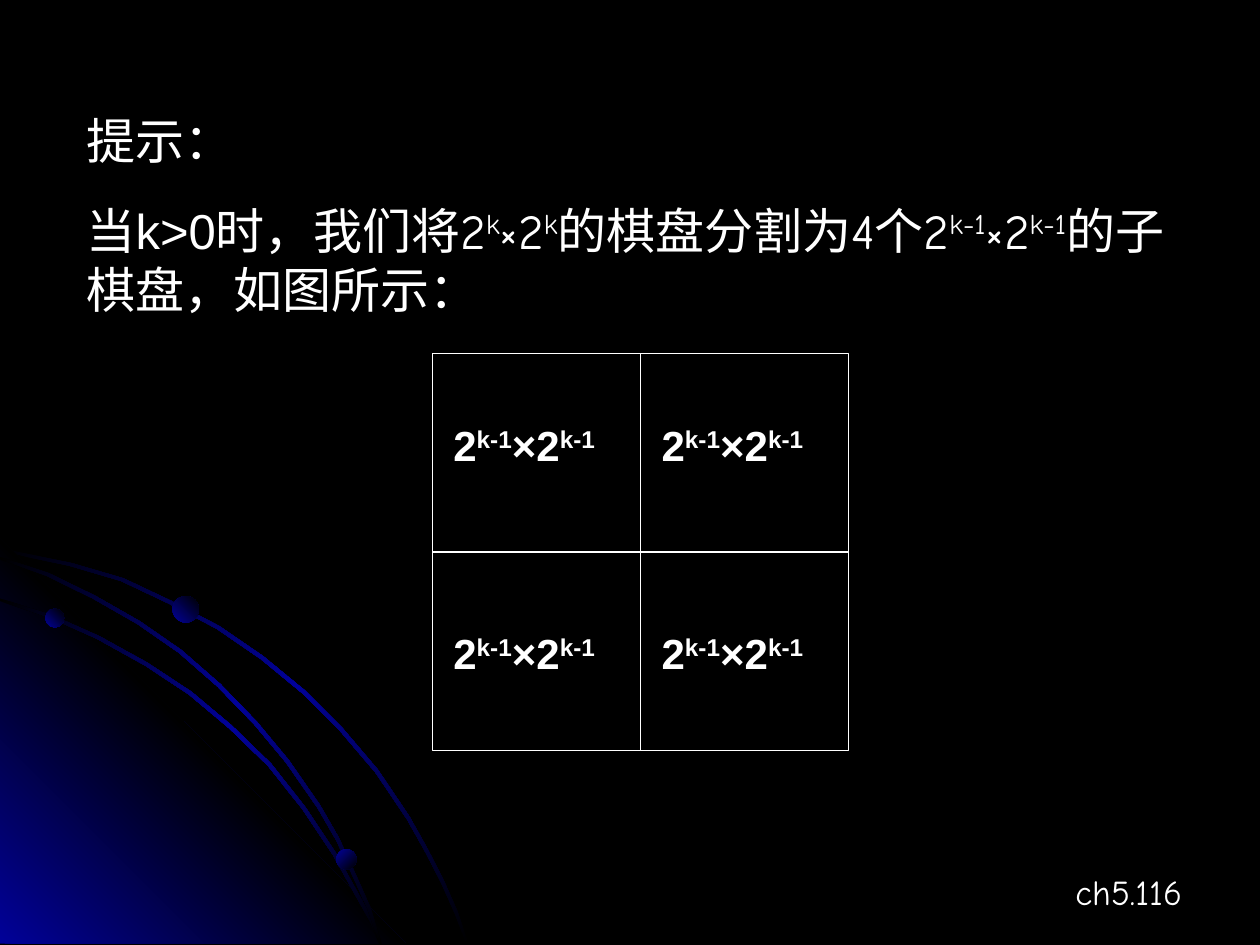
from lxml import etree
from pptx import Presentation
from pptx.dml.color import RGBColor
from pptx.enum.shapes import MSO_SHAPE
from pptx.enum.text import PP_ALIGN
from pptx.oxml.ns import qn
from pptx.util import Pt

OVAL, RECT = MSO_SHAPE.OVAL, MSO_SHAPE.RECTANGLE
LEFT, RIGHT = PP_ALIGN.LEFT, PP_ALIGN.RIGHT
WHITE, BLACK, BLUE = "FFFFFF", "000000", "010199"
COMIC, ARIAL, NOTO = "Comic Neue", "Arial", "Noto Sans CJK SC"
SLIDE_W, SLIDE_H = 720, 540

# Content: each run is (text, font, raised)
HINT = [
    [("提示：", COMIC, False)],
    [("当", COMIC, False), ("k>0", ARIAL, False), ("时，我们将2", COMIC, False),
     ("k", COMIC, True), ("×2", COMIC, False), ("k", COMIC, True),
     ("的棋盘分割为4个2", COMIC, False), ("k-1", COMIC, True),
     ("×2", COMIC, False), ("k-1", COMIC, True),
     ("的子棋盘，如图所示：", NOTO, False)],
]
QUADRANT_SIZE = [[("2", ARIAL, False), ("k-1", ARIAL, True),
                  ("×2", ARIAL, False), ("k-1", ARIAL, True)]]
PAGE_NUMBER = [[("ch5.116", COMIC, False)]]

# Upper edges of the orbit bands
OUTER_ORBIT = [(0, 313.2), (20.2, 317.5), (41, 321.8), (70.6, 330.5), (97.9, 343.4),
               (125.3, 357.8), (150.5, 375.1), (174.2, 394.6), (195.8, 416.2),
               (216, 439.9), (234, 466.6), (244.1, 484.6), (253.4, 502.6),
               (261.4, 520.6), (267.8, 539.3)]
INNER_ORBIT = [(0, 342), (29.5, 351.4), (56.9, 363.6), (84.2, 378.7), (109.4, 395.3),
               (132.5, 414.7), (154.8, 436.3), (174.2, 460.8), (191.5, 486.7),
               (205.9, 512.6), (213.1, 525.6), (218.2, 539.3)]
MIDDLE_ORBIT = [(0, 318.2), (28.1, 327.6), (54.7, 340.6), (79.9, 355), (103.7, 371.5),
                (126, 391), (146.9, 412.6), (164.9, 434.2), (182.9, 460.1),
                (193.7, 478.8), (203, 499), (211.7, 518.4), (218.2, 539.3)]
GLOW = [(0, 307.5), (232, 539.3), (0, 539.3)]
ORBIT_BAND = 1.5
ORBIT_END = 539.3
# Planets: left, top, diameter, gradient angle
PLANETS = [(25.9, 347.8, 10.8, 315), (192.2, 485.3, 11.5, 45), (98.6, 340.6, 15.1, 315)]

# Chessboard
BOARD_X, BOARD_Y, CELL_W, CELL_H = 247, 202, 119, 113.4
LABEL_DX, LABEL_DY, LABEL_PITCH = 5, 34, 118.8


def color(code):
    return RGBColor.from_string(code)


def paint_gradient(shape, colors, angle):
    """Spread the colours evenly; the angle runs clockwise."""
    shape.shadow.inherit = False
    shape.line.fill.background()
    shape.fill.gradient()
    shape.fill.gradient_angle = 360 - angle
    stops = shape.element.spPr.find(qn("a:gradFill")).find(qn("a:gsLst"))
    for stop in list(stops):
        stops.remove(stop)
    for i, code in enumerate(colors):
        stop = etree.SubElement(stops, qn("a:gs"), pos=str(100000 * i // (len(colors) - 1)))
        etree.SubElement(stop, qn("a:srgbClr"), val=code)


def add_outline(points, colors, angle):
    builder = shapes.build_freeform(Pt(points[0][0]), Pt(points[0][1]), scale=1.0)
    builder.add_line_segments([(Pt(x), Pt(y)) for x, y in points[1:]], close=True)
    paint_gradient(builder.convert_to_shape(), colors, angle)


def add_orbit(upper):
    lower = [(max(x - ORBIT_BAND, 0), min(y + ORBIT_BAND, ORBIT_END)) for x, y in upper]
    add_outline(upper + lower[::-1], [BLACK, BLUE, BLACK], 45)


def add_text(x, y, w, h, paragraphs, size, bold=False, align=LEFT, gap=0):
    frame = shapes.add_textbox(Pt(x), Pt(y), Pt(w), Pt(h)).text_frame
    frame.word_wrap = True
    for i, runs in enumerate(paragraphs):
        paragraph = frame.paragraphs[0] if i == 0 else frame.add_paragraph()
        paragraph.alignment = align
        if i:
            paragraph.space_before = Pt(gap)
        for text, font, raised in runs:
            run = paragraph.add_run()
            run.text = text
            run.font.size = Pt(size)
            run.font.bold = bold
            run.font.name = font
            run.font.color.rgb = color(WHITE)
            props = run.font._element
            etree.SubElement(props, qn("a:ea"), typeface=COMIC)
            if raised:
                props.set("baseline", "30000")


prs = Presentation()
prs.slide_width, prs.slide_height = Pt(SLIDE_W), Pt(SLIDE_H)
slide = prs.slides.add_slide(prs.slide_layouts[6])
shapes = slide.shapes
slide.background.fill.solid()
slide.background.fill.fore_color.rgb = color(BLACK)

# Corner decoration
add_orbit(OUTER_ORBIT)
add_outline(GLOW, [BLUE, BLACK, BLUE], 315)
add_orbit(INNER_ORBIT)
add_orbit(MIDDLE_ORBIT)
for x, y, diameter, angle in PLANETS:
    planet = shapes.add_shape(OVAL, Pt(x), Pt(y), Pt(diameter), Pt(diameter))
    paint_gradient(planet, [BLUE, BLACK], angle)

# Page number and hint
add_text(518.4, 494, 164.2, 31.7, PAGE_NUMBER, 20, align=RIGHT)
add_text(42.5, 59.8, 640.8, 126, HINT, 28, gap=17.5)

# Board cells, then their labels
cells = [(row, col) for row in range(2) for col in range(2)]
for row, col in cells:
    cell = shapes.add_shape(RECT, Pt(BOARD_X + col * CELL_W), Pt(BOARD_Y + row * CELL_H),
                            Pt(CELL_W), Pt(CELL_H))
    cell.shadow.inherit = False
    cell.fill.background()
    cell.line.color.rgb = color(WHITE)
    cell.line.width = Pt(0.75)
for row, col in cells:
    add_text(BOARD_X + LABEL_DX + col * CELL_W, BOARD_Y + LABEL_DY + row * LABEL_PITCH,
             114, 36, QUADRANT_SIZE, 24, bold=True)

prs.save("out.pptx")
